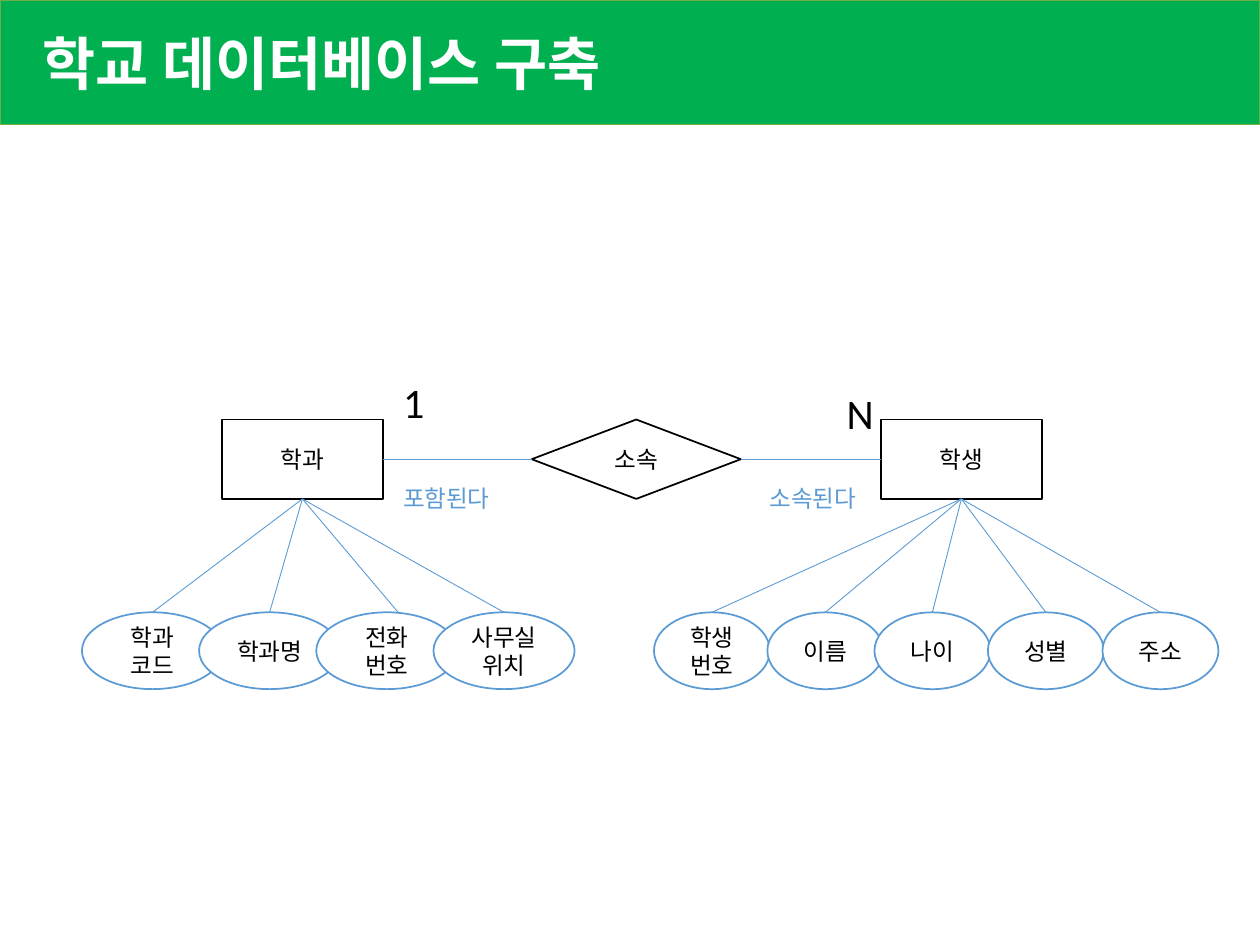
from dataclasses import dataclass

from lxml import etree
from pptx import Presentation
from pptx.dml.color import RGBColor
from pptx.enum.shapes import MSO_CONNECTOR, MSO_SHAPE
from pptx.enum.text import MSO_ANCHOR, MSO_AUTO_SIZE, PP_ALIGN
from pptx.oxml.ns import qn
from pptx.shapes.autoshape import Shape
from pptx.slide import Slide
from pptx.util import Inches, Length, Pt

WHITE = RGBColor(0xFF, 0xFF, 0xFF)
BLACK = RGBColor(0x00, 0x00, 0x00)
BLUE = RGBColor(0x5B, 0x9B, 0xD5)
GREEN = RGBColor(0x00, 0xB0, 0x50)
OLIVE = RGBColor(0x70, 0xAD, 0x47)

RECTANGLE = MSO_SHAPE.RECTANGLE
DIAMOND = MSO_SHAPE.FLOWCHART_DECISION
ELLIPSE = MSO_SHAPE.OVAL
STRAIGHT = MSO_CONNECTOR.STRAIGHT
LEFT, CENTER = PP_ALIGN.LEFT, PP_ALIGN.CENTER
MIDDLE = MSO_ANCHOR.MIDDLE
NO_AUTOFIT = MSO_AUTO_SIZE.NONE

LATIN_FONT = "Calibri"
KOREAN_FONT = "Noto Sans CJK KR"
LABEL_SIZE = 13.5

COLUMNS, ROWS = 100, 75
SLIDE_WIDTH, SLIDE_HEIGHT = Inches(10), Inches(7.5)
ENTITY_ROW, ENTITY_HEIGHT = 33.3, 6.3
ENTITY_MIDDLE = ENTITY_ROW + ENTITY_HEIGHT / 2
ENTITY_BOTTOM = ENTITY_ROW + ENTITY_HEIGHT
ENTITY_WIDTH = 12.8
ATTRIBUTE_ROW, ATTRIBUTE_HEIGHT = 48.6, 6.1


@dataclass(frozen=True)
class Box:
    column: float
    row: float
    width: float
    height: float

    @property
    def center(self) -> float:
        return self.column + self.width / 2

    @property
    def right(self) -> float:
        return self.column + self.width

    def lengths(self) -> tuple[Length, Length, Length, Length]:
        return across(self.column), down(self.row), across(self.width), down(self.height)


@dataclass(frozen=True)
class Attribute:
    label: str
    column: float
    line_shift: float = 0


@dataclass(frozen=True)
class Entity:
    label: str
    column: float
    attribute_width: float
    attributes: tuple[Attribute, ...]

    @property
    def box(self) -> Box:
        return Box(self.column, ENTITY_ROW, ENTITY_WIDTH, ENTITY_HEIGHT)

    def attribute_box(self, attribute: Attribute) -> Box:
        return Box(attribute.column, ATTRIBUTE_ROW, self.attribute_width, ATTRIBUTE_HEIGHT)


@dataclass(frozen=True)
class Caption:
    text: str
    box: Box
    size: float
    color: RGBColor


DEPARTMENT = Entity("학과", 17.6, 11.2, (
    Attribute("학과\n코드", 6.5),
    Attribute("학과명", 15.8),
    Attribute("전화\n번호", 25.1, 0.9),
    Attribute("사무실\n위치", 34.4),
))
STUDENT = Entity("학생", 69.9, 9.2, (
    Attribute("학생\n번호", 51.9),
    Attribute("이름", 60.9),
    Attribute("나이", 69.4),
    Attribute("성별", 78.4),
    Attribute("주소", 87.5),
))
ENTITIES = (DEPARTMENT, STUDENT)
RELATION_BOX = Box(42.2, ENTITY_ROW, 16.6, ENTITY_HEIGHT)
CAPTIONS = (
    Caption("1", Box(31, 29.4, 6.1, 5), 24, BLACK),
    Caption("N", Box(66.2, 30.3, 6.1, 5), 24, BLACK),
    Caption("소속된다", Box(60.1, 37.9, 14.9, 3.3), LABEL_SIZE, BLUE),
    Caption("포함된다", Box(31, 37.9, 14.9, 3.3), LABEL_SIZE, BLUE),
)


def across(columns: float) -> Length:
    return Length(round(SLIDE_WIDTH * columns / COLUMNS))


def down(rows: float) -> Length:
    return Length(round(SLIDE_HEIGHT * rows / ROWS))


def write(shape: Shape, text: str, size: float, color: RGBColor,
          alignment: PP_ALIGN, font_name: str = LATIN_FONT, bold: bool = False) -> None:
    shape.text_frame.text = text
    for paragraph in shape.text_frame.paragraphs:
        paragraph.alignment = alignment
        for run in paragraph.runs:
            run.font.size = Pt(size)
            run.font.bold = bold
            run.font.color.rgb = color
            run.font.name = font_name
            east_asian = etree.SubElement(run.font._element, qn("a:ea"))
            east_asian.set("typeface", KOREAN_FONT)


def paint(shape: Shape, fill: RGBColor, line: RGBColor, width: float) -> None:
    shape.fill.solid()
    shape.fill.fore_color.rgb = fill
    shape.line.color.rgb = line
    shape.line.width = Pt(width)


def add_title(slide: Slide, text: str) -> None:
    title = slide.shapes.title
    title.left, title.top, title.width, title.height = Box(0, 0, COLUMNS, 9.9).lengths()
    paint(title, GREEN, OLIVE, 0.75)
    write(title, text, 33, WHITE, LEFT, KOREAN_FONT, True)
    title.text_frame.auto_size = NO_AUTOFIT
    title.text_frame.vertical_anchor = MIDDLE
    title.text_frame.margin_left = across(3.4)


def add_node(slide: Slide, kind: MSO_SHAPE, box: Box, label: str, line: RGBColor) -> None:
    node = slide.shapes.add_shape(kind, *box.lengths())
    node.shadow.inherit = False
    paint(node, WHITE, line, 1)
    write(node, label, LABEL_SIZE, BLACK, CENTER)
    frame = node.text_frame
    frame.vertical_anchor = MIDDLE
    frame.margin_left = frame.margin_right = frame.margin_top = frame.margin_bottom = 0


def add_line(slide: Slide, start: tuple[float, float], end: tuple[float, float]) -> None:
    line = slide.shapes.add_connector(
        STRAIGHT, across(start[0]), down(start[1]), across(end[0]), down(end[1]))
    line.line.color.rgb = BLUE
    line.line.width = Pt(0.5)
    etree.SubElement(line._element.spPr, qn("a:effectLst"))


def add_caption(slide: Slide, caption: Caption) -> None:
    text_box = slide.shapes.add_textbox(*caption.box.lengths())
    text_box.text_frame.word_wrap = True
    write(text_box, caption.text, caption.size, caption.color, LEFT)


def main() -> None:
    presentation = Presentation()
    presentation.slide_width, presentation.slide_height = SLIDE_WIDTH, SLIDE_HEIGHT
    slide = presentation.slides.add_slide(presentation.slide_layouts.get_by_name("Title Only"))
    add_title(slide, "학교 데이터베이스 구축")

    for entity in ENTITIES:
        add_node(slide, RECTANGLE, entity.box, entity.label, BLACK)
    add_node(slide, DIAMOND, RELATION_BOX, "소속", BLACK)
    for entity in ENTITIES:
        for attribute in entity.attributes:
            box = entity.attribute_box(attribute)
            add_node(slide, ELLIPSE, box, attribute.label, BLUE)
            add_line(slide, (entity.box.center, ENTITY_BOTTOM),
                     (box.center + attribute.line_shift, ATTRIBUTE_ROW))

    for start, end in ((DEPARTMENT.box.right, RELATION_BOX.column),
                       (RELATION_BOX.right, STUDENT.column)):
        add_line(slide, (start, ENTITY_MIDDLE), (end, ENTITY_MIDDLE))
    for caption in CAPTIONS:
        add_caption(slide, caption)
    presentation.save("out.pptx")


if __name__ == "__main__":
    main()
